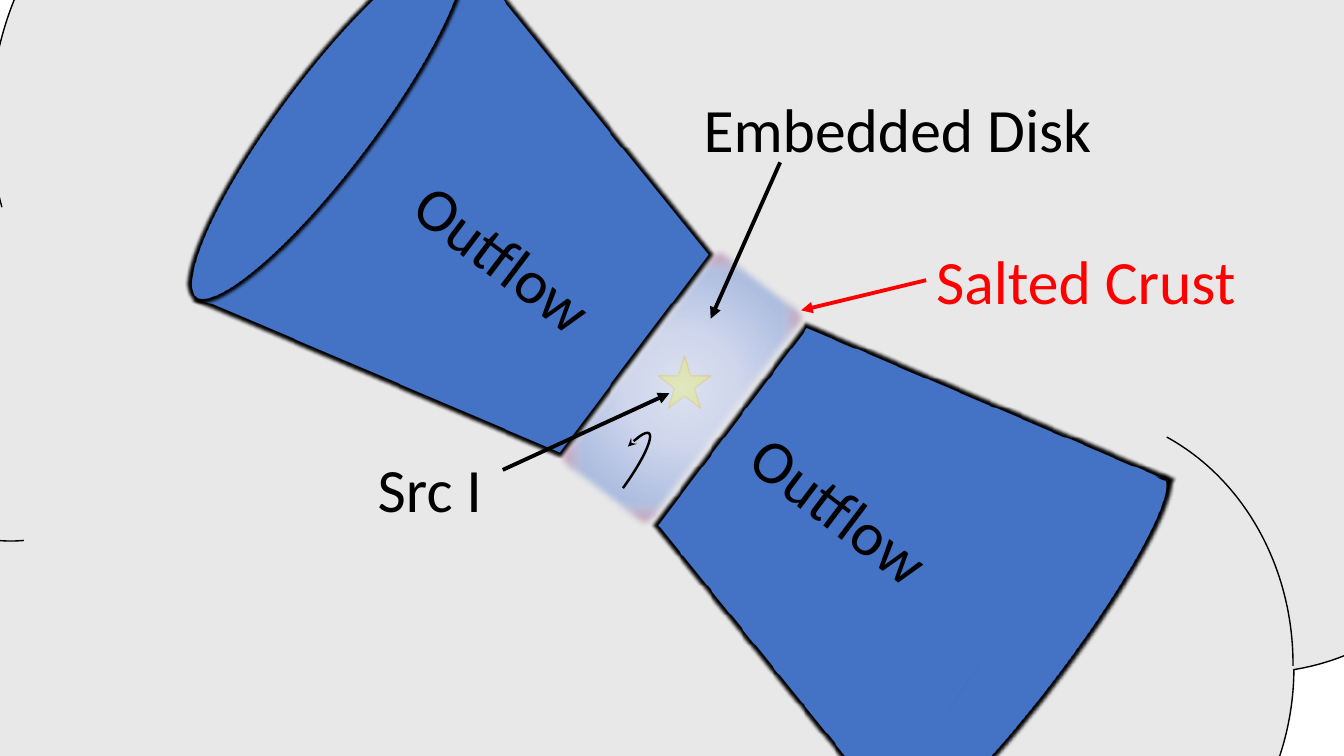
import pptx
import pptx.dml.color
import pptx.enum.shapes
import pptx.enum.text
import pptx.oxml
import pptx.oxml.ns
import pptx.util

COLOURS = {
    "black": "000000",
    "white": "FFFFFF",
    "blue": "4472C4",
    "pale": "DAE3F3",
    "mist": "C0CBF0",
    "red": "FF0000",
    "yellow": "FFFF00",
    "gold": "FFC000",
}
FONT = "Calibri"
LABEL_SIZE = 44
TILT = 37
SHAPE = pptx.enum.shapes.MSO_SHAPE


def drawing_xml(markup):
    """Parse one DrawingML element, adding the namespace to its tag."""
    tag, rest = markup[1:].split(" ", 1)
    return pptx.oxml.parse_xml(f"<{tag} {pptx.oxml.ns.nsdecls('a')} {rest}")


class Sketch:
    """Draws styled elements on the current slide; lengths are in centimetres."""

    def __init__(self, slide):
        self.slide = slide

    def colour(self, name):
        return pptx.dml.color.RGBColor.from_string(COLOURS[name])

    def stroke(self, line, colour, width, **ends):
        line.color.rgb = self.colour(colour)
        line.width = pptx.util.Pt(width)
        for end, kind in ends.items():
            line._get_or_add_ln().append(drawing_xml(f'<a:{end} type="{kind}"/>'))

    def shape(self, kind, frame, fill=None, line=None, rotation=0, flip=None, soft=0):
        """line is (colour, points); flip is "flipH" or "flipV"; soft is the edge blur in points."""
        shape = self.slide.shapes.add_shape(kind, *map(pptx.util.Cm, frame))
        shape.rotation = rotation
        shape.shadow.inherit = False
        if fill:
            shape.fill.solid()
            shape.fill.fore_color.rgb = self.colour(fill)
        else:
            shape.fill.background()
        if line:
            self.stroke(shape.line, *line)
        else:
            shape.line.fill.background()
        properties = shape._element.spPr
        if flip:
            properties.xfrm.set(flip, "1")
        if soft:
            effects = properties.find(pptx.oxml.ns.qn("a:effectLst"))
            effects.append(drawing_xml(f'<a:softEdge rad="{pptx.util.Pt(soft)}"/>'))
        return shape

    def fade(self, shape, opacity):
        """Set the opacity of a solid fill, in percent."""
        colour = shape._element.spPr.find(".//" + pptx.oxml.ns.qn("a:srgbClr"))
        colour.append(drawing_xml(f'<a:alpha val="{opacity * 1000}"/>'))

    def glow(self, frame, stops, form, soft):
        """Rounded rectangle with a centred gradient of (position, colour, opacity) stops."""
        shape = self.shape(SHAPE.ROUNDED_RECTANGLE, frame, rotation=TILT, soft=soft)
        markup = "".join(
            f'<a:gs pos="{position * 1000}"><a:srgbClr val="{COLOURS[name]}">'
            f'<a:alpha val="{opacity * 1000}"/></a:srgbClr></a:gs>'
            for position, name, opacity in stops
        )
        gradient = drawing_xml(
            f'<a:gradFill rotWithShape="1"><a:gsLst>{markup}</a:gsLst><a:path path="{form}">'
            '<a:fillToRect l="50000" t="50000" r="50000" b="50000"/></a:path></a:gradFill>'
        )
        properties = shape._element.spPr
        properties.replace(properties.find(pptx.oxml.ns.qn("a:noFill")), gradient)

    def label(self, text, left, top, width, colour="black", rotation=0):
        box = self.slide.shapes.add_textbox(*map(pptx.util.Cm, (left, top, width, 2.13)))
        box.rotation = rotation
        frame = box.text_frame
        frame.text = text
        frame.word_wrap = False
        frame.auto_size = pptx.enum.text.MSO_AUTO_SIZE.SHAPE_TO_FIT_TEXT
        font = frame.paragraphs[0].runs[0].font
        font.name = FONT
        font.size = pptx.util.Pt(LABEL_SIZE)
        font.color.rgb = self.colour(colour)

    def arrow(self, start, end, colour="black"):
        connector = self.slide.shapes.add_connector(
            pptx.enum.shapes.MSO_CONNECTOR.STRAIGHT, *map(pptx.util.Cm, start + end)
        )
        self.stroke(connector.line, colour, 2.75, tailEnd="triangle")
        connector._element.spPr.append(drawing_xml("<a:effectLst />"))


def draw_outflow(sketch, cone, cone_rotation, mouth, mouth_rotation, mouth_line, flip=None):
    sketch.shape(SHAPE.TRAPEZOID, cone + (11.23, 9.75), "blue", ("black", 5.25),
                 cone_rotation, "flipV", soft=2.5)
    sketch.shape(SHAPE.OVAL, mouth, "blue", ("black", mouth_line),
                 mouth_rotation, flip, soft=2.5)


def draw_rotation_arrow(sketch):
    arc = sketch.shape(SHAPE.ARC, (15.16, 10.62, 0.58, 3.05), rotation=216.3)
    sketch.stroke(arc.line, "black", 1.75, headEnd="stealth")
    for index, degrees in enumerate((76.42, 175.55)):
        arc.adjustments[index] = degrees * 0.6


def main():
    deck = pptx.Presentation()
    deck.slide_width, deck.slide_height = pptx.util.Cm(33.87), pptx.util.Cm(19.05)
    sketch = Sketch(deck.slides.add_slide(deck.slide_layouts[6]))

    cloud = sketch.shape(SHAPE.CLOUD, (-3.99, -7.54, 42.27, 34.92), "black", ("black", 1))
    sketch.fade(cloud, 9)

    draw_outflow(sketch, (16.66, 8.74), 127, (25.17, 10.9, 1.78, 11.18), 217, 6.25, "flipH")
    sketch.shape(SHAPE.STAR_5_POINT, (16.59, 8.97, 1.32, 1.32), "yellow", ("gold", 1))
    disk = (15.6, 6.26, 3.18, 7.01)
    sketch.glow(disk, [(0, "pale", 80), (28, "mist", 60), (100, "blue", 60)], "circle", 5)
    draw_outflow(sketch, (6.53, 1.12), 307, (7.01, -2.51, 2.51, 11.18), TILT, 5.25)
    draw_rotation_arrow(sketch)
    sketch.glow(disk, [(69, "white", 0), (100, "red", 60)], "rect", 5)

    for left, top in ((9.91, 5.44), (18.39, 11.79)):
        sketch.label("Outflow", left, top, 5.69, rotation=TILT)
    sketch.label("Embedded Disk", 17.48, 2.16, 10.39)
    sketch.arrow((19.66, 4.09), (17.91, 8.03))
    sketch.label("Salted Crust", 23.34, 5.99, 8.15, "red")
    sketch.arrow((23.34, 7.06), (20.19, 7.82), "red")
    sketch.arrow((12.67, 11.84), (16.87, 9.91))
    sketch.label("Src I", 9.27, 11.25, 3.18)

    # Patches that hide the seam between the lower cone and its mouth
    for left, top in ((28.14, 11.84), (27.61, 11.94), (27.1, 12.19)):
        sketch.shape(SHAPE.RECTANGLE, (left, top, 0.53, 3.15), "blue", rotation=27.2)
    sketch.shape(SHAPE.RECTANGLE, (24.87, 12.32, 0.53, 8.48), "blue", rotation=33.9)

    deck.save("out.pptx")


if __name__ == "__main__":
    main()
